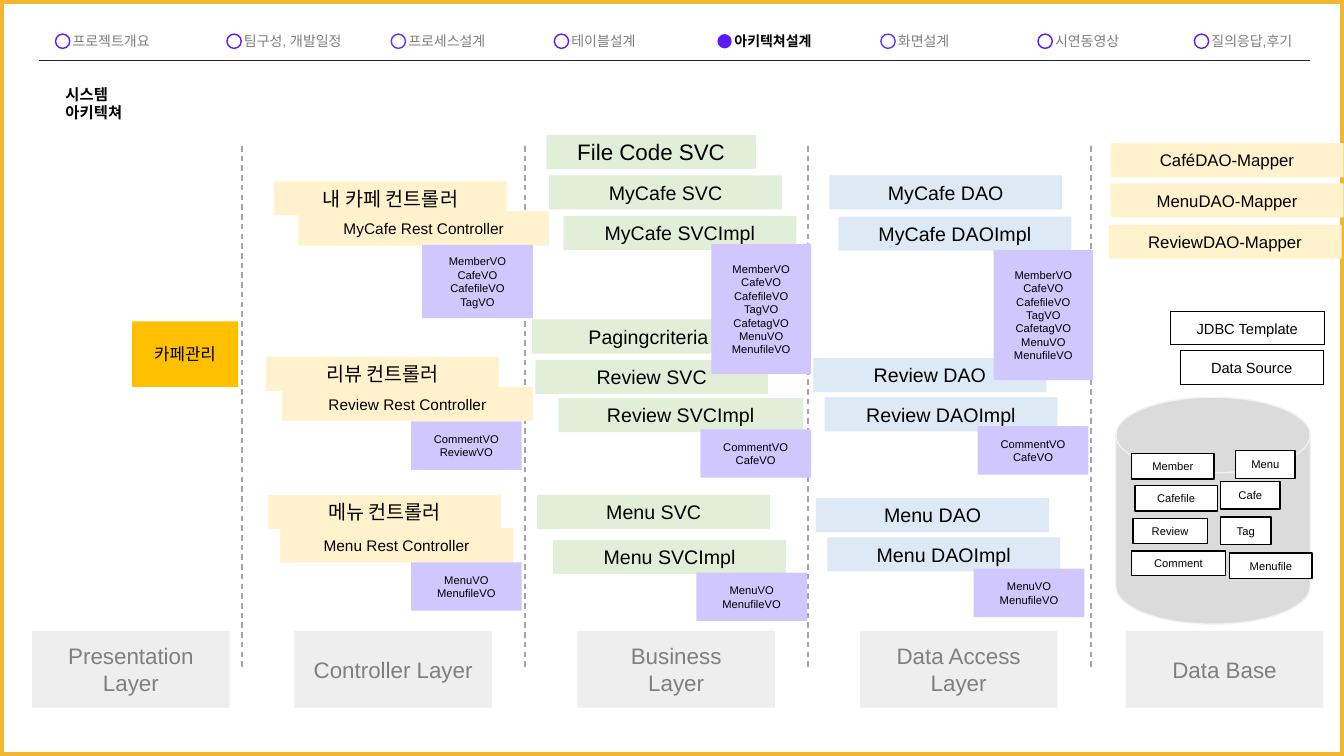
from pptx import Presentation
from pptx.dml.color import RGBColor
from pptx.enum.dml import MSO_LINE
from pptx.enum.shapes import MSO_CONNECTOR, MSO_SHAPE
from pptx.enum.text import MSO_ANCHOR, PP_ALIGN
from pptx.oxml.ns import qn
from pptx.util import Cm, Pt
from lxml.etree import SubElement

WIDTH, HEIGHT = 33.87, 19.05
BLACK = RGBColor(0x00, 0x00, 0x00)
WHITE = RGBColor(0xFF, 0xFF, 0xFF)
GRAY = RGBColor(0x7F, 0x7F, 0x7F)
CHARCOAL = RGBColor(0x25, 0x28, 0x2A)
DASH_GRAY = RGBColor(0xA5, 0xA5, 0xA5)
LAYER_GRAY = RGBColor(0xEE, 0xEE, 0xEE)
DISK_GRAY = RGBColor(0xDB, 0xDB, 0xDB)
DISK_EDGE = RGBColor(0xF2, 0xF2, 0xF2)
VIOLET = RGBColor(0x5C, 0x19, 0xFA)
INDIGO = RGBColor(0x5C, 0x34, 0xFA)
GOLD = RGBColor(0xF1, 0xB7, 0x31)
AMBER = RGBColor(0xFF, 0xC0, 0x00)
CREAM = RGBColor(0xFF, 0xF2, 0xCC)
GREEN = RGBColor(0xE1, 0xEF, 0xD8)
BLUE = RGBColor(0xDD, 0xEA, 0xF6)
LILAC = RGBColor(0xCF, 0xC7, 0xFD)

BAND_W, BAND_H = 5.87, 0.86
REST_W = 6.32
VO_W, VO_H = 2.79, 1.22
TALL_VO_W, TALL_VO_H = 2.51, 3.28

NAV = [
    (1.4, 3.51, "프로젝트개요", VIOLET),
    (5.72, 3.33, "팀구성, 개발일정", VIOLET),
    (9.86, 3.28, "프로세스설계", INDIGO),
    (13.97, 2.51, "테이블설계", VIOLET),
    (18.08, 3.78, "아키텍쳐설계", VIOLET),
    (22.2, 2.51, "화면설계", INDIGO),
    (26.16, 2.51, "시연동영상", VIOLET),
    (30.1, 2.92, "질의응답,후기", VIOLET),
]
CURRENT = "아키텍쳐설계"

LAYERS = [
    (0.81, "Presentation Layer"),
    (7.42, "Controller Layer"),
    (14.55, "Business\nLayer"),
    (21.67, "Data Access Layer"),
    (28.37, "Data Base"),
]

BANDS = [
    (CREAM, 14, BAND_W, [
        (6.91, 4.57, "내 카페 컨트롤러"),
        (6.71, 8.99, "리뷰 컨트롤러"),
        (6.76, 12.47, "메뉴 컨트롤러"),
    ]),
    (CREAM, 11, REST_W, [
        (7.52, 5.33, "MyCafe Rest Controller"),
        (7.11, 9.75, "Review Rest Controller"),
    ]),
    (CREAM, 11, BAND_W, [(7.06, 13.31, "Menu Rest Controller")]),
    (GREEN, 16, 5.28, [(13.77, 3.4, "File Code SVC")]),
    (GREEN, 14, BAND_W, [
        (13.84, 4.42, "MyCafe SVC"),
        (14.2, 5.44, "MyCafe SVCImpl"),
        (13.41, 8.05, "Pagingcriteria"),
        (13.49, 9.07, "Review SVC"),
        (13.54, 12.47, "Menu SVC"),
        (13.94, 13.61, "Menu SVCImpl"),
    ]),
    (GREEN, 14, 6.17, [(14.07, 10.03, "Review SVCImpl")]),
    (BLUE, 14, BAND_W, [
        (20.9, 4.42, "MyCafe DAO"),
        (21.13, 5.46, "MyCafe DAOImpl"),
        (20.5, 9.02, "Review DAO"),
        (20.78, 10.01, "Review DAOImpl"),
        (20.57, 12.55, "Menu DAO"),
        (20.85, 13.54, "Menu DAOImpl"),
    ]),
    (CREAM, 12, BAND_W, [
        (27.99, 3.61, "CaféDAO-Mapper"),
        (27.99, 4.62, "MenuDAO-Mapper"),
        (27.94, 5.66, "ReviewDAO-Mapper"),
    ]),
]

CAFE_VOS = "MemberVO\nCafeVO\nCafefileVO\nTagVO"
ALL_VOS = CAFE_VOS + "\nCafetagVO\nMenuVO\nMenufileVO"
MENU_VOS = "MenuVO\nMenufileVO"
COMMENT_VOS = "CommentVO\nCafeVO"
VALUE_OBJECTS = [
    (10.64, 6.17, VO_W, 1.85, CAFE_VOS),
    (10.36, 10.62, VO_W, VO_H, "CommentVO\nReviewVO"),
    (10.36, 14.17, VO_W, VO_H, MENU_VOS),
    (17.93, 6.15, TALL_VO_W, TALL_VO_H, ALL_VOS),
    (17.65, 10.82, VO_W, VO_H, COMMENT_VOS),
    (17.55, 14.43, VO_W, VO_H, MENU_VOS),
    (25.04, 6.3, TALL_VO_W, TALL_VO_H, ALL_VOS),
    (24.64, 10.74, VO_W, VO_H, COMMENT_VOS),
    (24.54, 14.33, VO_W, VO_H, MENU_VOS),
]

TABLES = [
    (28.52, 11.43, 2.08, 0.64, "Member"),
    (31.14, 11.35, 1.5, 0.71, "Menu"),
    (30.76, 12.14, 1.5, 0.69, "Cafe"),
    (28.6, 12.24, 2.08, 0.64, "Cafefile"),
    (28.52, 13.89, 2.36, 0.61, "Comment"),
    (30.76, 13.03, 1.27, 0.69, "Tag"),
    (28.55, 13.06, 1.88, 0.64, "Review"),
    (30.99, 13.94, 2.08, 0.64, "Menufile"),
]
SOURCES = [
    (29.49, 7.85, 3.89, "JDBC Template"),
    (29.74, 8.84, 3.61, "Data Source"),
]


def write(tf, text, size=14, color=BLACK, bold=False, align=PP_ALIGN.CENTER,
          anchor=MSO_ANCHOR.MIDDLE):
    tf.word_wrap = True
    tf.vertical_anchor = anchor
    for i, line in enumerate(text.split("\n")):
        p = tf.add_paragraph() if i else tf.paragraphs[0]
        p.alignment = align
        r = p.add_run()
        r.text = line
        r.font.name = "Arial"
        r.font.size = Pt(size)
        r.font.bold = bold
        r.font.color.rgb = color


class Deck:
    def __init__(self):
        self.prs = Presentation()
        self.prs.slide_width, self.prs.slide_height = Cm(WIDTH), Cm(HEIGHT)
        self.s = self.prs.slides.add_slide(self.prs.slide_layouts[6])

    def shape(self, x, y, w, h, fill=None, line=None, weight=1, text=None,
              kind=MSO_SHAPE.RECTANGLE, **fmt):
        sp = self.s.shapes.add_shape(kind, Cm(x), Cm(y), Cm(w), Cm(h))
        sp.shadow.inherit = False
        if fill is None:
            sp.fill.background()
        else:
            sp.fill.solid()
            sp.fill.fore_color.rgb = fill
        if line is None:
            sp.line.fill.background()
        else:
            sp.line.color.rgb = line
            sp.line.width = Pt(weight)
        if text:
            write(sp.text_frame, text, **fmt)

    def label(self, x, y, w, h, text, **fmt):
        sp = self.s.shapes.add_textbox(Cm(x), Cm(y), Cm(w), Cm(h))
        write(sp.text_frame, text, align=PP_ALIGN.LEFT, anchor=MSO_ANCHOR.TOP, **fmt)

    def rule(self, x1, y1, x2, y2, color, dash=None):
        c = self.s.shapes.add_connector(MSO_CONNECTOR.STRAIGHT, Cm(x1), Cm(y1), Cm(x2), Cm(y2))
        c.line.color.rgb = color
        c.line.width = Pt(1)
        if dash:
            c.line.dash_style = dash
        SubElement(c.element.spPr, qn("a:effectLst"))


def main():
    deck = Deck()
    deck.rule(0.99, 1.52, 33.02, 1.52, CHARCOAL)
    for x, w, text, color in NAV:
        now = text == CURRENT
        deck.shape(x, 0.86, 0.36, 0.36, kind=MSO_SHAPE.OVAL,
                   fill=color if now else None, line=None if now else color)
        deck.label(x + 0.18, 0.69, w, 0.69, text, size=10, bold=now,
                   color=BLACK if now else GRAY)
    deck.shape(0, 0, WIDTH, HEIGHT, line=GOLD, weight=6)
    deck.label(1.4, 2.01, 2.85, 1.19, "시스템 아키텍쳐", size=11, bold=True)

    for i in range(4):
        x = 6.1 + 7.13 * i
        deck.rule(x, 3.68, x, 16.87, DASH_GRAY, dash=MSO_LINE.DASH)
    for x, text in LAYERS:
        deck.shape(x, 15.9, 4.98, 1.93, LAYER_GRAY, text=text, size=16, color=GRAY)

    deck.shape(3.33, 8.1, 2.67, 1.65, AMBER, text="카페관리", size=12)
    for fill, size, w, items in BANDS:
        for x, y, text in items:
            deck.shape(x, y, w, BAND_H, fill, text=text, size=size)
    for x, y, w, h, text in VALUE_OBJECTS:
        deck.shape(x, y, w, h, LILAC, text=text, size=8)

    deck.shape(28.12, 10.01, 4.9, 5.72, DISK_GRAY, DISK_EDGE,
               kind=MSO_SHAPE.FLOWCHART_MAGNETIC_DISK)
    for x, y, w, h, text in TABLES:
        deck.shape(x, y, w, h, WHITE, BLACK, text=text, size=8)
    for x, y, w, text in SOURCES:
        deck.shape(x, y, w, 0.84, WHITE, BLACK, 0.75, text, size=10.5)
    deck.prs.save("out.pptx")


if __name__ == "__main__":
    main()
